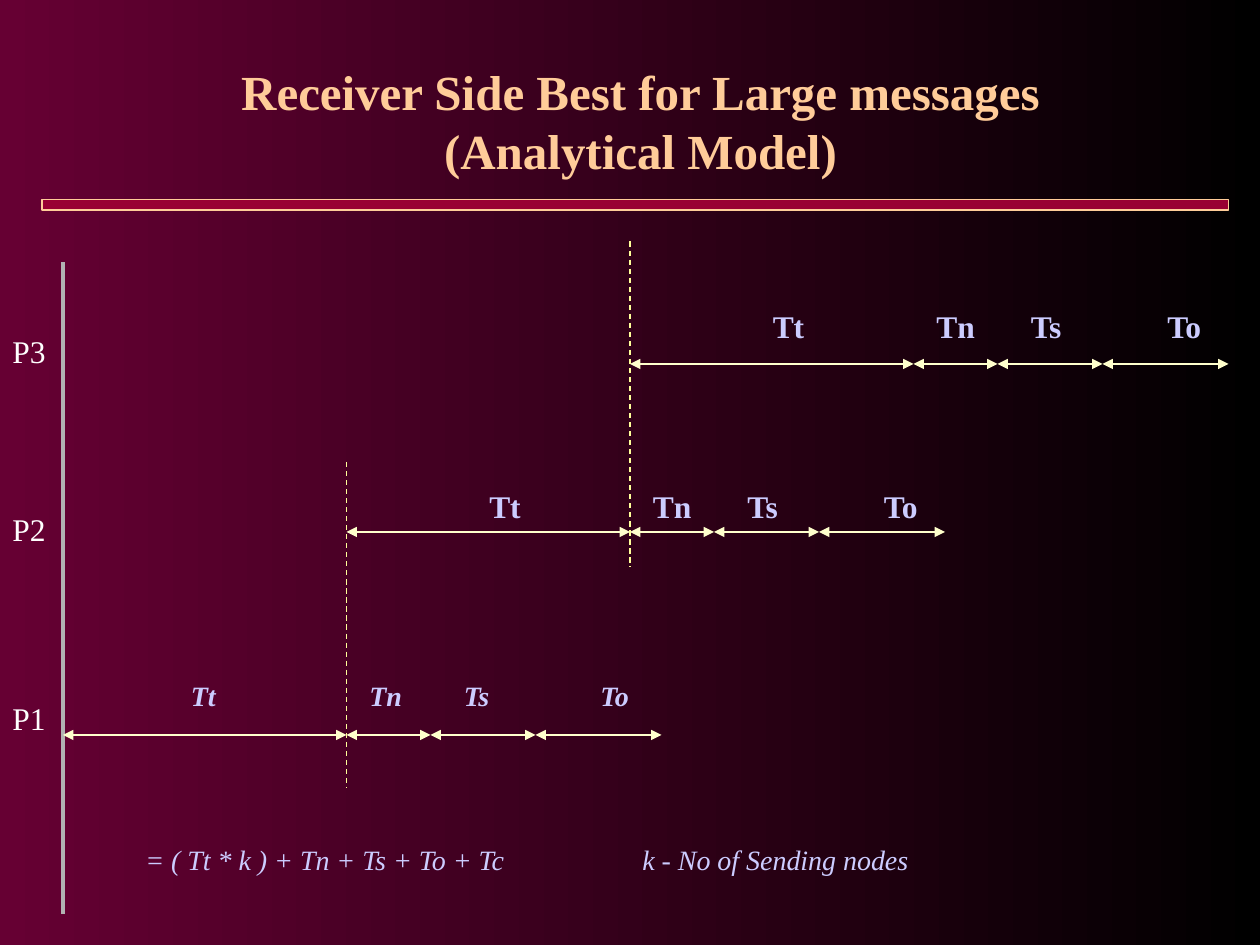
from copy import deepcopy
from itertools import accumulate, pairwise

from pptx import Presentation
from pptx.dml.color import RGBColor
from pptx.enum.dml import MSO_LINE_DASH_STYLE as Dash
from pptx.enum.shapes import MSO_CONNECTOR as Connector, MSO_SHAPE as Shape
from pptx.enum.text import MSO_ANCHOR as Anchor, MSO_AUTO_SIZE as AutoSize, PP_ALIGN as Align
from pptx.oxml.ns import qn
from pptx.oxml.xmlchemy import OxmlElement
from pptx.util import Pt

COLORS = {
    "back_left": "660033",
    "back_right": "000000",
    "title": "FFCC99",
    "bar": "990033",
    "axis": "B2B2B2",
    "arrow": "FFFFCC",
    "guide": "FFFF99",
    "node": "FFFFFF",
    "label": "CCCCFF",
}
FONT = "Times New Roman"
DURATIONS = [162, 48, 60, 72]
AXIS_X = 36


def color(name):
    return RGBColor.from_string(COLORS[name])


def write(frame, text, *, size, ink, bold=False, italic=False, align=Align.LEFT):
    para = frame.paragraphs[0]
    para.text = text
    para.alignment = align
    for span in para.runs:
        span.font.name = FONT
        span.font.size = Pt(size)
        span.font.bold = bold
        span.font.italic = italic
        span.font.color.rgb = color(ink)
    for line_break in para._p.findall(qn("a:br")):
        line_break.append(deepcopy(para.runs[0].font._element))
    return para


def add_label(page, text, left, top, width=40, **style):
    box = page.shapes.add_textbox(Pt(left), Pt(top), Pt(width), Pt(style["size"] * 1.6))
    box.text_frame.word_wrap = False
    return write(box.text_frame, text, **style)


def add_line(page, start, end, ink, weight, dash=None, arrows=False):
    line = page.shapes.add_connector(Connector.STRAIGHT, *map(Pt, start + end))
    line.line.color.rgb = color(ink)
    line.line.width = Pt(weight)
    if dash:
        line.line.dash_style = dash
    if arrows:
        for tag in ("a:headEnd", "a:tailEnd"):
            tip = OxmlElement(tag)
            tip.set("type", "triangle")
            line.line._get_or_add_ln().append(tip)
    line._element.spPr.append(OxmlElement("a:effectLst"))


def add_background(page):
    fill = page.background.fill
    fill.gradient()
    fill.gradient_angle = 0
    for stop, name, position in zip(fill.gradient_stops, ("back_left", "back_right"), (0, 1)):
        stop.color.rgb = color(name)
        stop.position = position


def add_title(page, text):
    title = page.shapes.title
    title.left, title.top, title.width, title.height = Pt(60), Pt(24), Pt(612), Pt(90)
    title.text_frame.auto_size = AutoSize.NONE
    title.text_frame.vertical_anchor = Anchor.MIDDLE
    write(title.text_frame, text, size=28, ink="title", bold=True, align=Align.CENTER)


def add_bar(page):
    bar = page.shapes.add_shape(Shape.RECTANGLE, Pt(24), Pt(114), Pt(678), Pt(6))
    bar.shadow.inherit = False
    bar.fill.solid()
    bar.fill.fore_color.rgb = color("bar")
    bar.line.color.rgb = color("title")
    bar.line.width = Pt(0.75)


def add_timeline(page, start, arrow_y, label_y, transfer_offset, size, italic):
    for left, right in pairwise(accumulate(DURATIONS, initial=start)):
        add_line(page, (left, arrow_y), (right, arrow_y), "arrow", 1.5, arrows=True)
    offsets = {"Tt": transfer_offset, "Tn": 168, "Ts": 222, "To": 300}
    for text, offset in offsets.items():
        add_label(page, text, start + offset, label_y,
                  size=size, ink="label", bold=True, italic=italic)


def add_formula(page):
    para = add_label(page, "= ( Tt * k ) + Tn + Ts + To + Tc\tk - No of Sending nodes",
                     76, 478, 451, size=16, ink="label", italic=True)
    tabs = OxmlElement("a:tabLst")
    tab = OxmlElement("a:tab")
    tab.set("pos", str(Pt(284)))
    tab.set("algn", "l")
    tabs.append(tab)
    para._p.get_or_add_pPr().append(tabs)


def main():
    deck = Presentation()
    deck.slide_width, deck.slide_height = Pt(720), Pt(540)
    page = deck.slides.add_slide(deck.slide_layouts[5])
    add_background(page)
    add_title(page, "Receiver Side Best for Large messages\v(Analytical Model)")
    add_bar(page)
    add_line(page, (AXIS_X, 522), (AXIS_X, 150), "axis", 2.25)

    nodes = [
        ("P1", 396, 420, 384, 66, 16, True),
        ("P2", 288, 304, 274.5, 74.5, 18, False),
        ("P3", 186, 208, 172, 74.5, 18, False),
    ]
    for index, (name, name_y, *timeline) in enumerate(nodes):
        add_label(page, name, 0, name_y, size=18, ink="node")
        add_timeline(page, AXIS_X + index * DURATIONS[0], *timeline)
    for x, top in ((198, 264), (360, 138)):
        add_line(page, (x, top), (x, top + 186), "guide", 0.75, dash=Dash.DASH)

    add_formula(page)
    deck.save("out.pptx")


if __name__ == "__main__":
    main()
